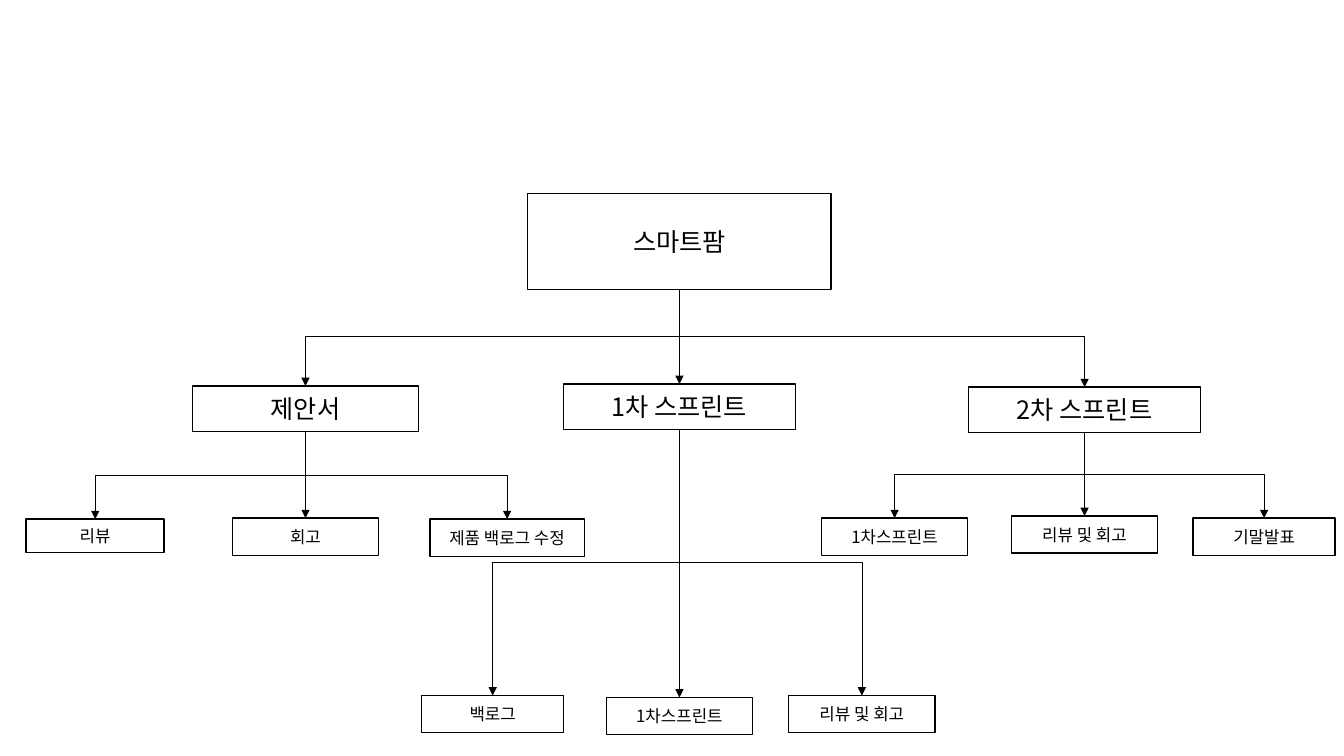
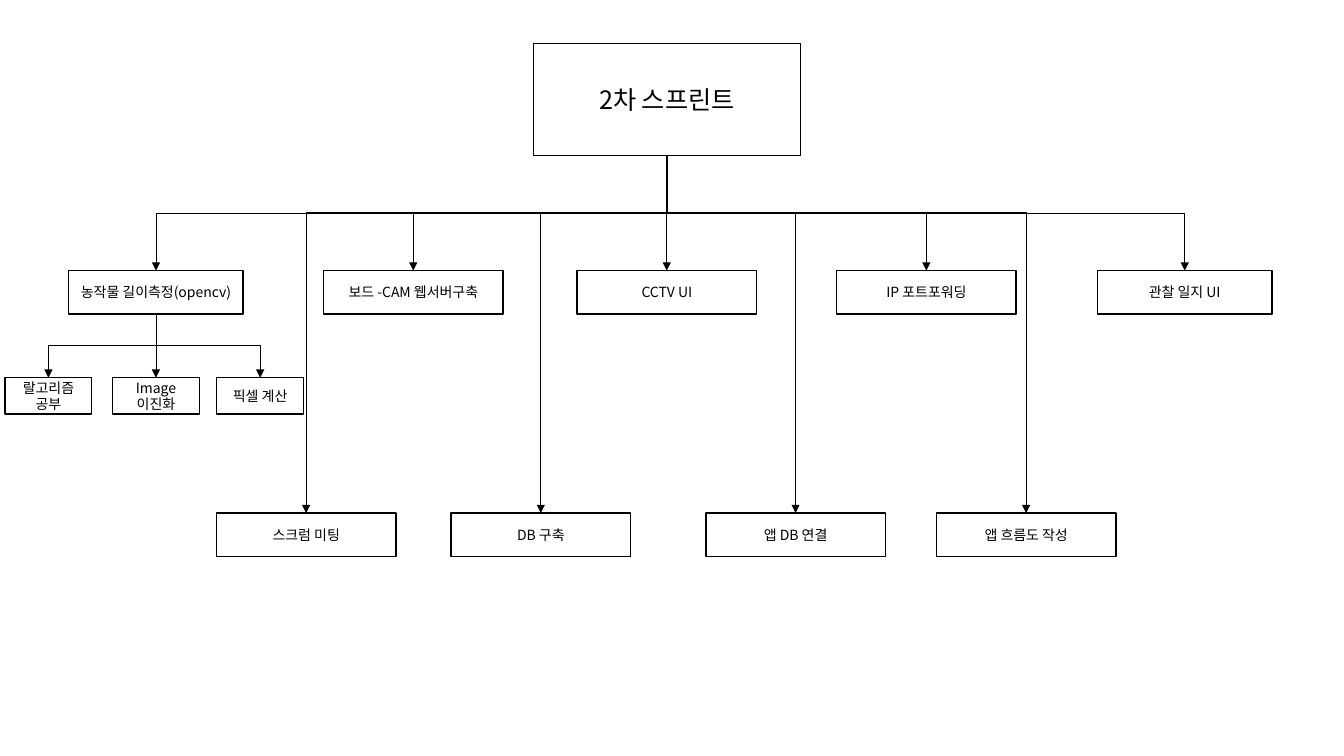
from dataclasses import dataclass, field

from lxml import etree
from pptx import Presentation
from pptx.dml.color import RGBColor
from pptx.enum.shapes import MSO_CONNECTOR, MSO_SHAPE
from pptx.enum.text import MSO_ANCHOR, PP_ALIGN
from pptx.oxml.ns import qn
from pptx.util import Pt

RECT = MSO_SHAPE.RECTANGLE
ELBOW, STRAIGHT = MSO_CONNECTOR.ELBOW, MSO_CONNECTOR.STRAIGHT
CENTER, MIDDLE = PP_ALIGN.CENTER, MSO_ANCHOR.MIDDLE
TOP, BOTTOM = 0, 2  # connection sites of a rectangle


@dataclass(frozen=True)
class Theme:
    ink: RGBColor = RGBColor(0, 0, 0)
    font: str = "Noto Sans CJK KR"
    heading: int = 18
    task: int = 12
    detail: int = 10
    box_line: float = 1
    link_line: float = 0.5
    inset: float = 5


THEME = Theme()


@dataclass
class Node:
    """A box of the tree, placed by its horizontal centre and its top."""
    text: str
    cx: float
    top: float
    width: float
    height: float
    size: int
    children: list = field(default_factory=list)

    @property
    def bottom(self):
        return self.top + self.height


# Boxes
def add_box(s, node):
    sp = s.shapes.add_shape(RECT, Pt(node.cx - node.width / 2), Pt(node.top),
                            Pt(node.width), Pt(node.height))
    sp.shadow.inherit = False
    sp.fill.background()
    sp.line.color.rgb = THEME.ink
    sp.line.width = Pt(THEME.box_line)
    tf = sp.text_frame
    tf.word_wrap = True
    tf.vertical_anchor = MIDDLE
    tf.margin_left = tf.margin_right = Pt(THEME.inset)
    p = tf.paragraphs[0]
    p.text = node.text
    p.alignment = CENTER
    p.font.name = THEME.font
    p.font.size = Pt(node.size)
    p.font.color.rgb = THEME.ink
    east_asian = etree.SubElement(p.font._element, qn("a:ea"))
    east_asian.set("typeface", THEME.font)
    return sp


# Connectors
def style_link(link):
    link.line.color.rgb = THEME.ink
    link.line.width = Pt(THEME.link_line)
    sp_pr = link._element.spPr
    etree.SubElement(sp_pr.find(qn("a:ln")), qn("a:tailEnd")).set("type", "triangle")
    etree.SubElement(sp_pr, qn("a:effectLst"))


def bend_down(link, parent, child, bus):
    """Turn the elbow so that it leaves downwards and bends at height bus."""
    dx, dy = child.cx - parent.cx, child.top - parent.bottom
    link.left = Pt((parent.cx + child.cx - dy) / 2)
    link.top = Pt((parent.bottom + child.top - abs(dx)) / 2)
    link.width, link.height = Pt(dy), Pt(abs(dx))
    sp_pr = link._element.spPr
    xfrm = sp_pr.find(qn("a:xfrm"))
    xfrm.set("rot", str((270 if dx > 0 else 90) * 60000))
    xfrm.set("flipH", "1" if dx > 0 else "0")
    xfrm.set("flipV", "0")
    guide = etree.SubElement(sp_pr.find(qn("a:prstGeom")).find(qn("a:avLst")), qn("a:gd"))
    guide.set("name", "adj1")
    guide.set("fmla", f"val {round((bus - parent.bottom) / dy * 100000)}")


def add_link(s, parent, parent_sp, child, child_sp, bus):
    aligned = parent.cx == child.cx
    link = s.shapes.add_connector(STRAIGHT if aligned else ELBOW,
                                  Pt(parent.cx), Pt(parent.bottom),
                                  Pt(child.cx), Pt(child.top))
    link.begin_connect(parent_sp, BOTTOM)
    link.end_connect(child_sp, TOP)
    if not aligned:
        bend_down(link, parent, child, bus)
    style_link(link)


# Trees
def add_tree(s, node):
    sp = add_box(s, node)
    if node.children:
        # All branches share a bus halfway to the nearest row
        bus = (node.bottom + min(child.top for child in node.children)) / 2
        for child in node.children:
            add_link(s, node, sp, child, add_tree(s, child), bus)
    return sp


def project_tree():
    def task(text, cx, top, width=104.4, height=26.6):
        return Node(text, cx, top, width, height, THEME.task)

    def phase(text, cx, top, width, *tasks):
        return Node(text, cx, top, width, 32.6, THEME.heading, list(tasks))

    left, middle, right = 218.2, 485.3, 774.7
    return Node("스마트팜", middle, 138.2, 216.7, 68.6, THEME.heading, [
        phase("제안서", left, 275.8, 161.3,
              task("리뷰", 68, 370.8, 98.6, 23.8),
              task("회고", left, 370.1),
              task("제품 백로그 수정", 362.3, 370.8, 110.2)),
        phase("1차 스프린트", middle, 274.3, 165.6,
              task("백로그", 351.9, 496.8, 101.5),
              task("1차스프린트", middle, 498.2),
              task("리뷰 및 회고", 615.6, 496.8)),
        phase("2차 스프린트", right, 276.5, 165.6,
              task("1차스프린트", 639, 370.1),
              task("리뷰 및 회고", right, 368.6),
              task("기말발표", 903, 370.1, 101.5)),
    ])


def sprint_tree():
    def detail(text, cx, top, width=128.2, height=31, children=()):
        return Node(text, cx, top, width, height, THEME.detail, list(children))

    middle, measuring = 476.3, 111.4
    upper, lower = 193.3, 366.5
    steps = [detail(text, cx, 269.8, 62, 25.9) for text, cx in (
        ("랄고리즘 공부", 34.6), ("Image 이진화", measuring), ("픽셀 계산", 185.8))]
    return Node("2차 스프린트", middle, 31, 190.8, 79.9, THEME.heading, [
        detail("농작물 길이측정(opencv)", measuring, upper, 124.6, children=steps),
        detail("보드 -CAM 웹서버구축", 295.2, upper),
        detail("CCTV UI", middle, upper),
        detail("IP 포트포워딩", 661.7, upper),
        detail("관찰 일지 UI", 846.2, upper, 124.6),
        detail("스크럼 미팅", 218.7, lower),
        detail("DB 구축", 386.3, lower),
        detail("앱 DB 연결", 568.3, lower),
        detail("앱 흐름도 작성", 733, lower),
    ])


def main():
    prs = Presentation()
    prs.slide_width, prs.slide_height = Pt(960), Pt(540)
    for tree in (project_tree(), sprint_tree()):
        s = prs.slides.add_slide(prs.slide_layouts[6])
        add_tree(s, tree)
    prs.save("out.pptx")


if __name__ == "__main__":
    main()
